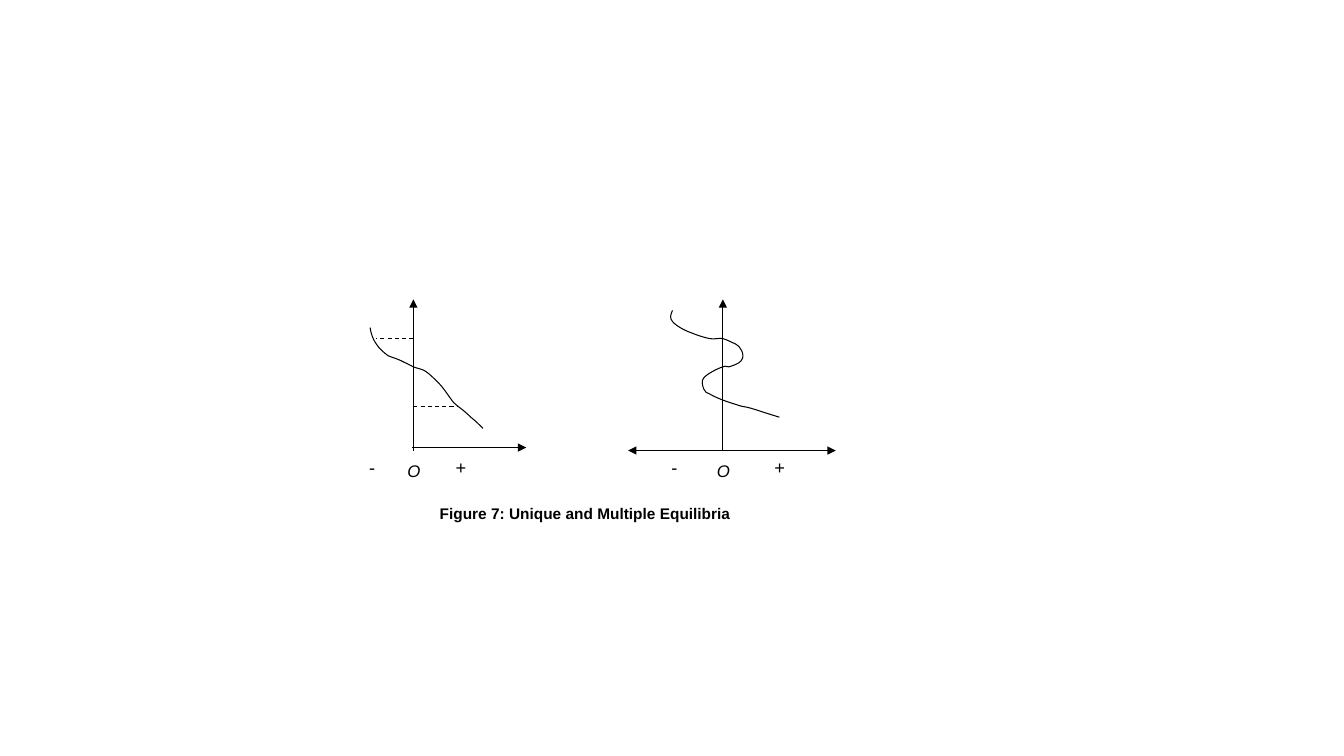
from dataclasses import dataclass

from lxml import etree
from pptx import Presentation
from pptx import util as u
from pptx.dml.color import RGBColor
from pptx.enum import dml, shapes, text
from pptx.oxml.ns import qn


@dataclass(frozen=True)
class Theme:
    ink: RGBColor = RGBColor(0, 0, 0)
    font: str = "Arial"
    line_width: float = 0.75
    caption_size: int = 11
    origin_size: int = 12
    sign_size: int = 13


UNIQUE_CURVE = [
    (3.67, 3.25),
    (3.68, 3.31), (3.7, 3.37), (3.73, 3.41),
    (3.76, 3.46), (3.81, 3.5), (3.85, 3.53),
    (3.9, 3.55), (3.94, 3.56), (3.98, 3.58),
    (4.02, 3.6), (4.06, 3.62), (4.1, 3.64),
    (4.15, 3.66), (4.19, 3.66), (4.23, 3.69),
    (4.27, 3.72), (4.31, 3.76), (4.35, 3.8),
    (4.4, 3.85), (4.45, 3.93), (4.48, 3.97),
    (4.51, 4.01), (4.51, 4), (4.54, 4.03),
    (4.57, 4.05), (4.63, 4.1), (4.67, 4.14),
    (4.71, 4.17), (4.77, 4.23), (4.79, 4.25),
]
MULTIPLE_CURVE = [
    (6.67, 3.08),
    (6.65, 3.12), (6.64, 3.16), (6.67, 3.19),
    (6.7, 3.23), (6.79, 3.28), (6.85, 3.3),
    (6.92, 3.33), (6.99, 3.35), (7.04, 3.36),
    (7.09, 3.37), (7.13, 3.35), (7.17, 3.36),
    (7.21, 3.37), (7.26, 3.4), (7.29, 3.41),
    (7.32, 3.43), (7.34, 3.44), (7.35, 3.47),
    (7.37, 3.5), (7.38, 3.55), (7.35, 3.58),
    (7.33, 3.61), (7.26, 3.63), (7.23, 3.64),
    (7.2, 3.65), (7.21, 3.62), (7.17, 3.64),
    (7.13, 3.65), (7.01, 3.71), (6.98, 3.75),
    (6.95, 3.78), (6.97, 3.83), (6.98, 3.86),
    (6.99, 3.89), (7.01, 3.9), (7.04, 3.91),
    (7.07, 3.93), (7.12, 3.95), (7.17, 3.97),
    (7.22, 3.99), (7.29, 4.01), (7.35, 4.03),
    (7.42, 4.04), (7.48, 4.06), (7.54, 4.08),
    (7.6, 4.1), (7.7, 4.13), (7.73, 4.14),
]


def write_text(frame, content, *, theme, size, bold=False, italic=False, tab=None):
    paragraph = frame.paragraphs[0]
    paragraph.alignment = text.PP_ALIGN.LEFT
    if tab is not None:
        tabs = etree.SubElement(paragraph._p.get_or_add_pPr(), qn("a:tabLst"))
        etree.SubElement(tabs, qn("a:tab"), pos=str(u.Inches(tab)), algn="l")
    run = paragraph.add_run()
    run.text = content
    run.font.name = theme.font
    run.font.size = u.Pt(size)
    run.font.bold = bold
    run.font.italic = italic
    run.font.color.rgb = theme.ink


class Figure:
    def __init__(self, slide, theme):
        self.slide = slide
        self.theme = theme

    def style_line(self, line):
        line.color.rgb = self.theme.ink
        line.width = u.Pt(self.theme.line_width)

    def line(self, start, end, *, arrow=False, dashed=False):
        connector = self.slide.shapes.add_connector(
            shapes.MSO_CONNECTOR.STRAIGHT, *map(u.Inches, start + end))
        self.style_line(connector.line)
        if dashed:
            connector.line.dash_style = dml.MSO_LINE.DASH
        properties = connector._element.spPr
        if arrow:
            outline = properties.find(qn("a:ln"))
            etree.SubElement(outline, qn("a:tailEnd"), type="triangle")
        etree.SubElement(properties, qn("a:effectLst"))

    def curve(self, points):
        start, *controls = [(u.Inches(x), u.Inches(y)) for x, y in points]
        builder = self.slide.shapes.build_freeform(*start)
        builder.add_line_segments(controls, close=False)
        shape = builder.convert_to_shape()
        segments = shape._element.xpath(".//a:lnTo")
        for first in range(0, len(segments), 3):
            bezier = etree.Element(qn("a:cubicBezTo"))
            segments[first].addprevious(bezier)
            for segment in segments[first:first + 3]:
                bezier.append(segment[0])
                segment.getparent().remove(segment)
        shape.fill.background()
        shape.shadow.inherit = False
        self.style_line(shape.line)

    def label(self, content, left, top, width, height, *, wrap=False, **style):
        box = self.slide.shapes.add_textbox(
            *map(u.Inches, (left, top, width, height)))
        frame = box.text_frame
        frame.word_wrap = wrap
        frame.margin_left = frame.margin_right = u.Inches(0.07)
        frame.margin_top = frame.margin_bottom = u.Inches(0.04)
        write_text(frame, content, theme=self.theme, **style)

    def signs(self, left, width, tab):
        self.label("-\t+", left, 4.49, width, 0.27, wrap=True,
                   size=self.theme.sign_size, tab=tab)

    def vertical_axis(self, x):
        self.line((x, 4.47), (x, 2.97), arrow=True)
        self.label("O", x - 0.13, 4.53, 0.27, 0.27,
                   size=self.theme.origin_size, italic=True)


def main():
    presentation = Presentation()
    presentation.slide_width = u.Inches(13.33)
    presentation.slide_height = u.Inches(7.5)
    slide = presentation.slides.add_slide(presentation.slide_layouts[6])
    theme = Theme()
    figure = Figure(slide, theme)

    figure.vertical_axis(4.1)
    figure.line((4.09, 4.44), (5.22, 4.44), arrow=True)
    figure.curve(UNIQUE_CURVE)
    figure.signs(3.59, 1.14, 0.86)
    for x, y in ((4.54, 4.03), (3.73, 3.36)):
        figure.line((4.1, y), (x, y), dashed=True)

    figure.vertical_axis(7.17)
    for x in (6.23, 8.29):
        figure.line((7.17, 4.47), (x, 4.47), arrow=True)
    figure.curve(MULTIPLE_CURVE)
    figure.signs(6.59, 1.3, 1.02)

    figure.label("Figure 7: Unique and Multiple Equilibria", 4.29, 4.96, 3.09, 0.26,
                 size=theme.caption_size, bold=True)
    presentation.save("out.pptx")


if __name__ == "__main__":
    main()
